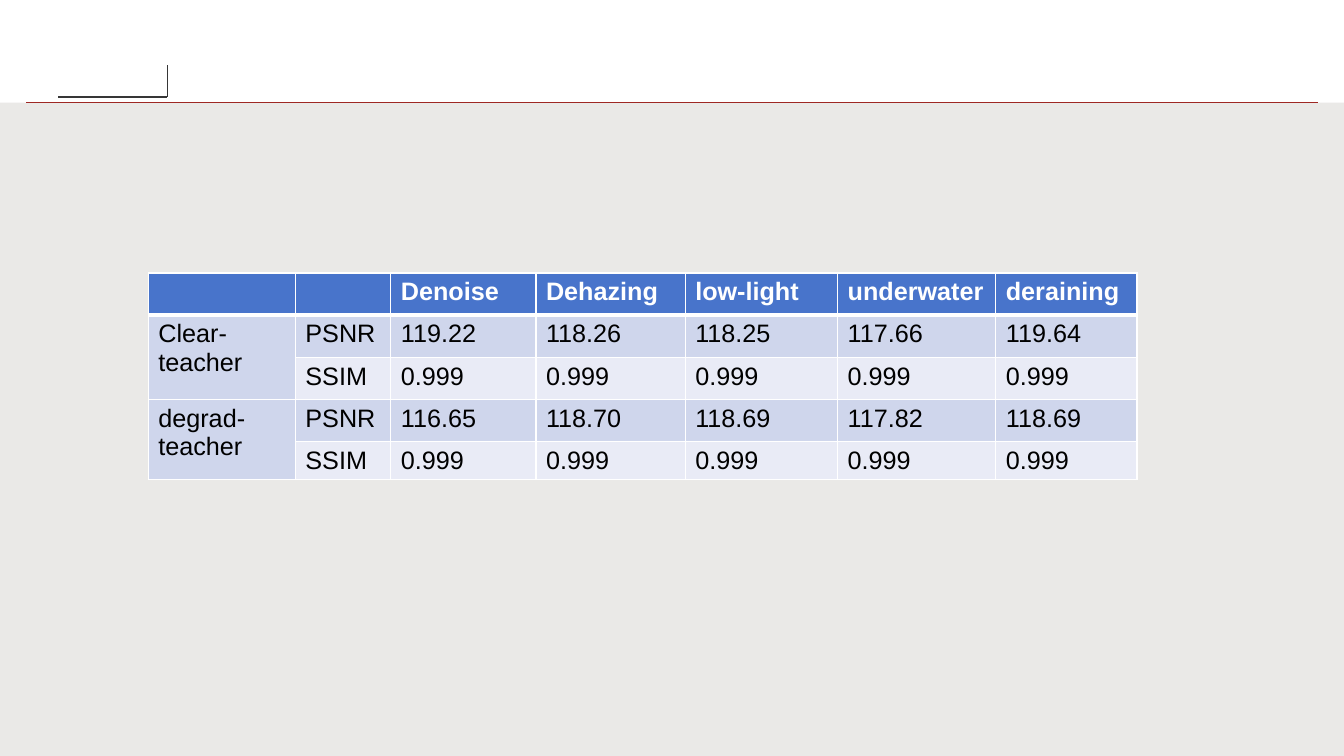
from lxml.etree import SubElement
from pptx import Presentation
from pptx.dml.color import RGBColor
from pptx.enum.shapes import MSO_CONNECTOR, MSO_SHAPE
from pptx.oxml import parse_xml
from pptx.oxml.ns import nsdecls, qn
from pptx.util import Pt

COLORS = {
    "panel": "E9E8E6",
    "rule": "9E2824",
    "corner": "363636",
    "header": "4874CB",
    "band_dark": "CFD6EC",
    "band_light": "E9EBF6",
    "white": "FFFFFF",
    "black": "000000",
}
SLIDE_WIDTH, SLIDE_HEIGHT = 960, 540
HEADER_BOTTOM = 73.4

COLUMN_WIDTHS = [105.1, 68.2, 103.7, 106.6, 108.9, 113, 100.8]
ROW_HEIGHTS = [30.1, 30.1, 30.1, 30.1, 26]
SCORES = [
    ["", "", "Denoise", "Dehazing", "low-light", "underwater", "deraining"],
    ["Clear-teacher", "PSNR", "119.22", "118.26", "118.25", "117.66", "119.64"],
    ["", "SSIM"] + ["0.999"] * 5,
    ["degrad-teacher", "PSNR", "116.65", "118.70", "118.69", "117.82", "118.69"],
    ["", "SSIM"] + ["0.999"] * 5,
]


def color(name):
    return RGBColor.from_string(COLORS[name])


def add_line(shapes, start, end, color_name):
    line = shapes.add_connector(
        MSO_CONNECTOR.STRAIGHT, *(Pt(value) for value in (*start, *end)))
    line.line.color.rgb = color(color_name)
    line.line.width = Pt(1)
    SubElement(line._element.spPr, qn("a:effectLst"))


def add_backdrop(slide, left, top, width, height):
    """Grey panel with the red rule along its top edge."""
    panel = slide.shapes.add_shape(
        MSO_SHAPE.RECTANGLE, Pt(left), Pt(top), Pt(width), Pt(height))
    panel.shadow.inherit = False
    panel.line.fill.background()
    panel.fill.solid()
    panel.fill.fore_color.rgb = color("panel")
    fill_color = panel._element.spPr.find(qn("a:solidFill"))[0]
    SubElement(fill_color, qn("a:alpha"), val="95000")
    add_line(slide.shapes, (left + 18.7, top), (left + width - 18.4, top), "rule")


def add_title_corner(slide, left, top, width, height):
    """Two lines that meet at the bottom right of the box."""
    right, bottom = left + width, top + height
    corner = slide.shapes.add_group_shape()
    add_line(corner.shapes, (right, top), (right, bottom), "corner")
    add_line(corner.shapes, (left, bottom), (right, bottom), "corner")


def set_borders(cell, top_width, bottom_width):
    properties = cell._tc.get_or_add_tcPr()
    widths = {"lnL": 1, "lnR": 1, "lnT": top_width, "lnB": bottom_width}
    for position, (side, width) in enumerate(widths.items()):
        border = parse_xml(
            f'<a:{side} {nsdecls("a")} w="{Pt(width)}"><a:solidFill>'
            f'<a:srgbClr val="{COLORS["white"]}"/></a:solidFill></a:{side}>')
        properties.insert(position, border)


def format_cell(cell, text, row):
    is_header = row == 0
    band = "band_dark" if row % 2 else "band_light"
    cell.fill.solid()
    cell.fill.fore_color.rgb = color("header" if is_header else band)
    set_borders(cell, 3 if row == 1 else 1, 3 if is_header else 1)
    cell.text = text
    font = cell.text_frame.paragraphs[0].font
    font.name = "Arial"
    font.size = Pt(18)
    font.bold = is_header
    font.color.rgb = color("white" if is_header else "black")


def add_score_table(slide, left, top):
    table = slide.shapes.add_table(
        len(SCORES), len(COLUMN_WIDTHS), Pt(left), Pt(top),
        Pt(sum(COLUMN_WIDTHS)), Pt(sum(ROW_HEIGHTS))).table
    for column, width in zip(table.columns, COLUMN_WIDTHS):
        column.width = Pt(width)
    for row, height in zip(table.rows, ROW_HEIGHTS):
        row.height = Pt(height)
    for row, texts in enumerate(SCORES):
        for column, text in enumerate(texts):
            format_cell(table.cell(row, column), text, row)
    for row in (1, 3):
        table.cell(row, 0).merge(table.cell(row + 1, 0))


def main():
    presentation = Presentation()
    presentation.slide_width = Pt(SLIDE_WIDTH)
    presentation.slide_height = Pt(SLIDE_HEIGHT)
    slide = presentation.slides.add_slide(presentation.slide_layouts[6])
    add_backdrop(slide, 0, HEADER_BOTTOM, SLIDE_WIDTH, SLIDE_HEIGHT - HEADER_BOTTOM)
    add_title_corner(slide, 41.6, 46.6, 78, 22.8)
    add_score_table(slide, 105.9, 195)
    presentation.save("out.pptx")


if __name__ == "__main__":
    main()
